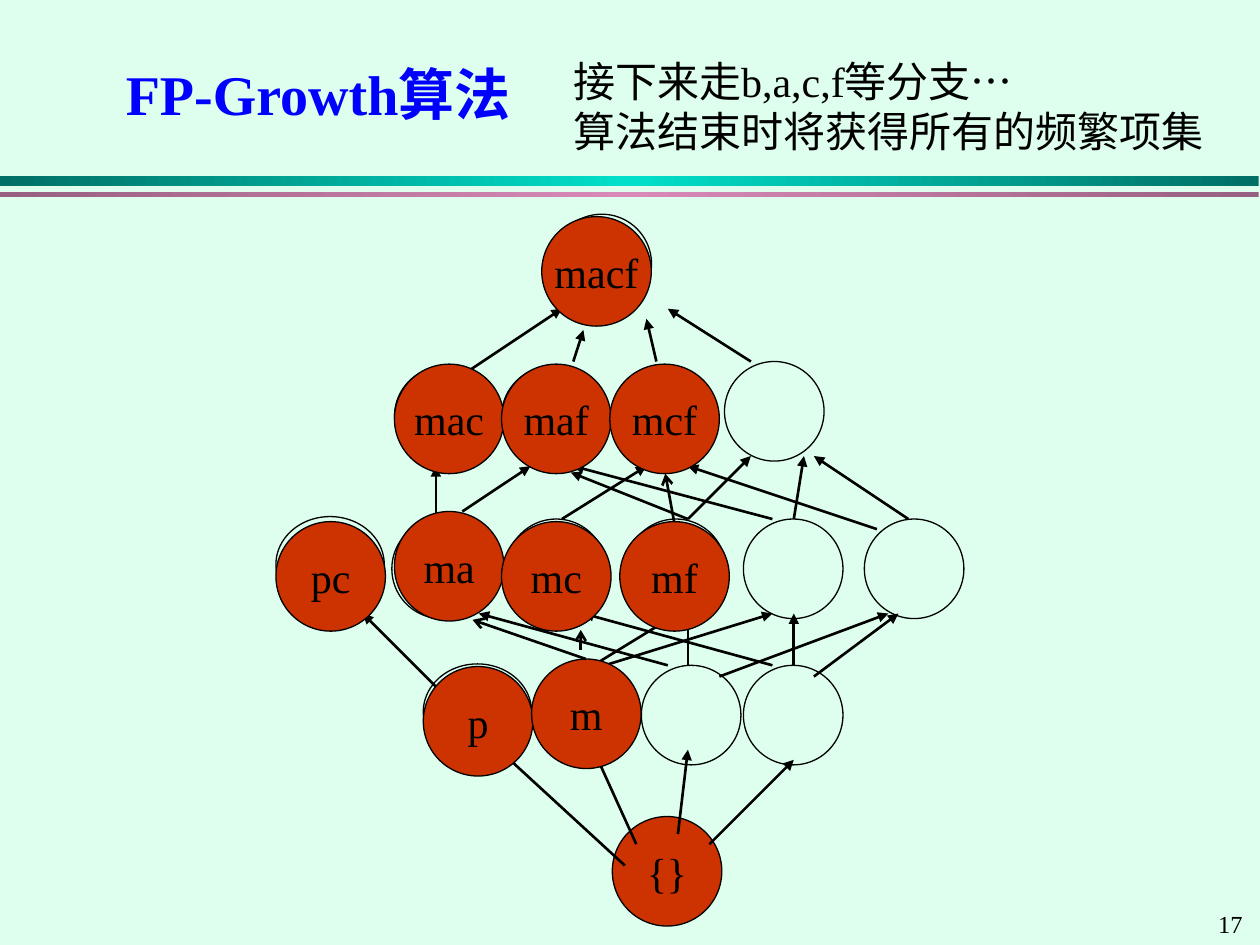
from lxml import etree
from pptx import Presentation
from pptx.dml.color import RGBColor
from pptx.enum.shapes import MSO_CONNECTOR, MSO_SHAPE
from pptx.enum.text import MSO_ANCHOR, PP_ALIGN
from pptx.oxml.ns import qn
from pptx.util import Pt

OVAL, RECT = MSO_SHAPE.OVAL, MSO_SHAPE.RECTANGLE
STRAIGHT = MSO_CONNECTOR.STRAIGHT
MIDDLE, TOP = MSO_ANCHOR.MIDDLE, MSO_ANCHOR.TOP
CENTER, LEFT = PP_ALIGN.CENTER, PP_ALIGN.LEFT

FONT = "Times New Roman"
MINT = RGBColor(0xDE, 0xFE, 0xEE)
BLACK = RGBColor(0, 0, 0)
BLUE = RGBColor(0, 0, 0xFF)
RED = RGBColor(0xCC, 0x33, 0)
TEAL = RGBColor(0, 0x6F, 0x65), RGBColor(0, 0xDF, 0xCA)
MAUVE = RGBColor(0x97, 0x60, 0x80), RGBColor(0xD9, 0x89, 0xB8)

# Divider bars: top, height, (edge colour, middle colour)
BARS = [(100.6, 5.8, TEAL), (109.6, 3, MAUVE)]

# Texts: lines, box, size, colour, bold, anchor, wrap
TEXTS = [
    (["FP-Growth算法"], (64.8, 20.2, 481.7, 66.2), 32, BLUE, True, MIDDLE, True),
    (["接下来走b,a,c,f等分支…", "算法结束时将获得所有的频繁项集"],
     (320.4, 28.1, 399.6, 64.8), 24, BLACK, False, TOP, True),
    (["17"], (689, 516.2, 31, 24.5), 14, BLACK, False, TOP, False),
]

# Open lattice circles: top of a row, left edges
OPEN_SIZE = 56.9
OPEN_ROWS = [
    (469.4, [355]),
    (296.6, [223.9, 289.4, 424.8, 357.8, 493.9]),
    (206.6, [414]),
    (209.5, [286.6, 351.4, 225.4]),
    (380.2, [307.4, 366.5, 424.8]),
    (122.4, [315.4]),
]
OPEN_OVALS = [(241.9, 379.4), (157.7, 295.2)]
OVAL_SIZE = (61.9, 54.7)

# Visited itemsets: label, left, top
RED_SIZE = 62.6
ROOT = ("{}", 349.9, 466.6)
VISITED = [
    ("p", 241.9, 380.9), ("pc", 157.7, 298.1), ("ma", 225.4, 292.3),
    ("mac", 225.4, 208.1), ("macf", 309.6, 123.8), ("maf", 286.6, 208.1),
    ("m", 303.8, 376.6), ("mc", 286.6, 298.1), ("mcf", 348.5, 208.1),
    ("mf", 354.2, 298.1),
]

# Lattice edges: x1, y1, x2, y2
EDGES = [
    # Root to single items
    (405.4, 482.4, 453.6, 434.2), (387.4, 476.6, 393.1, 428.4),
    (363.6, 482.4, 339.1, 428.4), (357.1, 494.6, 285.1, 428.4),
    # Single items to pairs
    (249.1, 392.4, 207.4, 350.6), (339.1, 380.2, 387.4, 350.6),
    (345.6, 380.2, 441.4, 350.6), (381.6, 380.2, 273.6, 350.6),
    (393.1, 380.2, 393.1, 350.6), (411.1, 386.6, 507.6, 350.6),
    (441.4, 380.2, 333.4, 350.6), (453.6, 380.2, 453.6, 350.6),
    (465.1, 386.6, 513.4, 350.6),
    # Pairs to triples
    (264.2, 292.3, 303.1, 266.4), (249.1, 296.6, 249.1, 266.4),
    (321.1, 296.6, 369.4, 266.4), (393.1, 296.6, 326.2, 270),
    (393.1, 296.6, 429.1, 260.6), (441.4, 296.6, 327.6, 266.4),
    (453.6, 296.6, 459.4, 260.6), (501.1, 302.4, 393.1, 266.4),
    (519.1, 296.6, 465.1, 260.6),
    # Triples to the full set
    (267.1, 212.4, 321.1, 176.4), (327.6, 206.6, 333.4, 188.6),
    (375.1, 206.6, 369.4, 182.2), (429.1, 206.6, 381.6, 176.4),
]
VISIT_EDGES = [
    (334.8, 376.6, 270, 354.2), (331.9, 371.5, 331.9, 360),
    (385.2, 298.1, 380.2, 270.7),
]


def add_bar(s, top, height, colors):
    edge, middle = colors
    sp = s.shapes.add_shape(RECT, 0, Pt(top), Pt(719.3), Pt(height))
    sp.shadow.inherit = False
    sp.line.fill.background()
    sp.fill.gradient()
    sp.fill.gradient_angle = 0
    stops = sp.fill._fill._gradFill.find(qn("a:gsLst"))
    stops.clear()
    for pos, color in ((0, edge), (50000, middle), (100000, edge)):
        gs = etree.SubElement(stops, qn("a:gs"), pos=str(pos))
        etree.SubElement(gs, qn("a:srgbClr"), val=str(color))


def write(tf, lines, size, color, bold=False, align=LEFT):
    for i, line in enumerate(lines):
        p = tf.add_paragraph() if i else tf.paragraphs[0]
        p.text = line
        p.alignment = align
        p.font.name, p.font.size, p.font.bold = FONT, Pt(size), bold
        p.font.color.rgb = color


def add_text(s, lines, box, size, color, bold, anchor, wrap):
    tf = s.shapes.add_textbox(*map(Pt, box)).text_frame
    tf.word_wrap, tf.vertical_anchor = wrap, anchor
    write(tf, lines, size, color, bold)


def add_circle(s, left, top, width, height):
    sp = s.shapes.add_shape(OVAL, Pt(left), Pt(top), Pt(width), Pt(height))
    sp.shadow.inherit = False
    sp.fill.background()
    sp.line.color.rgb, sp.line.width = BLACK, Pt(0.75)
    return sp


def add_visited(s, label, left, top):
    sp = add_circle(s, left, top, RED_SIZE, RED_SIZE)
    sp.fill.solid()
    sp.fill.fore_color.rgb = RED
    tf = sp.text_frame
    tf.word_wrap, tf.vertical_anchor = False, MIDDLE
    write(tf, [label], 24, BLACK, align=CENTER)


def add_arrow(s, ends, head):
    cn = s.shapes.add_connector(STRAIGHT, *map(Pt, ends))
    cn.line.color.rgb, cn.line.width = BLACK, Pt(1.5)
    etree.SubElement(cn.line._get_or_add_ln(), qn("a:tailEnd"), type=head)
    etree.SubElement(cn._element.spPr, qn("a:effectLst"))


def main():
    prs = Presentation()
    prs.slide_width, prs.slide_height = Pt(720), Pt(540)
    s = prs.slides.add_slide(prs.slide_layouts[6])
    s.background.fill.solid()
    s.background.fill.fore_color.rgb = MINT

    # Header
    for bar in BARS:
        add_bar(s, *bar)
    for text in TEXTS:
        add_text(s, *text)

    # Itemset lattice
    for left, top in OPEN_OVALS:
        add_circle(s, left, top, *OVAL_SIZE)
    for top, lefts in OPEN_ROWS:
        for left in lefts:
            add_circle(s, left, top, OPEN_SIZE, OPEN_SIZE)
    add_visited(s, *ROOT)
    for ends in EDGES:
        add_arrow(s, ends, "triangle")

    # Visited branch on top
    for node in VISITED:
        add_visited(s, *node)
    for ends in VISIT_EDGES:
        add_arrow(s, ends, "arrow")

    prs.save("out.pptx")


if __name__ == "__main__":
    main()
